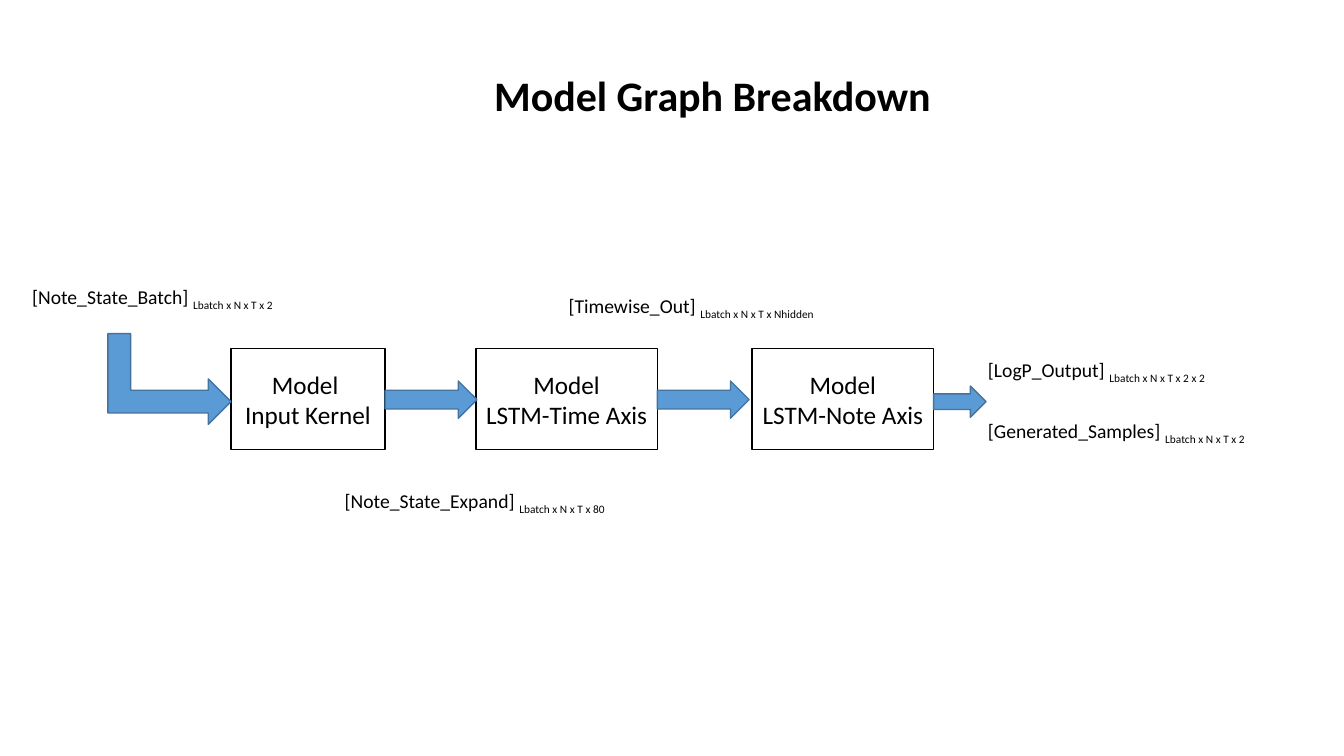
from typing import NamedTuple

from pptx import Presentation
from pptx.dml.color import RGBColor
from pptx.enum.shapes import MSO_SHAPE
from pptx.enum.text import MSO_ANCHOR, MSO_AUTO_SIZE, PP_ALIGN
from pptx.util import Emu, Pt

EMU_PER_PX = 9144  # 100 px to the inch
FONT = "Calibri"
BLACK, WHITE, BLUE, DARK_BLUE = "000000", "FFFFFF", "5B9BD5", "43739E"


class Frame(NamedTuple):
    left: int
    top: int
    width: int
    height: int


class Stage(NamedTuple):
    frame: Frame
    lines: tuple[str, str]


class Tensor(NamedTuple):
    frame: Frame
    name: str
    dimensions: str


class Arrow(NamedTuple):
    frame: Frame
    preset: MSO_SHAPE = MSO_SHAPE.RIGHT_ARROW
    rotation: int = 0


STAGES = [
    Stage(Frame(229, 346, 153, 100), ("Model ", "Input Kernel")),
    Stage(Frame(472, 346, 180, 100), ("Model", "LSTM-Time Axis")),
    Stage(Frame(746, 346, 180, 100), ("Model", "LSTM-Note Axis")),
]
TENSORS = [
    Tensor(Frame(22, 278, 310, 34), "Note_State_Batch", "Lbatch x N x T x 2"),
    Tensor(Frame(332, 480, 328, 34), "Note_State_Expand", "Lbatch x N x T x 80"),
    Tensor(Frame(554, 287, 328, 34), "Timewise_Out", "Lbatch x N x T x Nhidden"),
    Tensor(Frame(970, 350, 306, 34), "LogP_Output", "Lbatch x N x T x 2 x 2"),
    Tensor(Frame(970, 411, 314, 34), "Generated_Samples", "Lbatch x N x T x 2"),
]
ARROWS = [
    Arrow(Frame(123, 315, 90, 122), MSO_SHAPE.BENT_UP_ARROW, 90),
    Arrow(Frame(382, 378, 91, 37)),
    Arrow(Frame(652, 378, 91, 37)),
    Arrow(Frame(926, 383, 52, 31)),
]


def px(length: int) -> Emu:
    return Emu(length * EMU_PER_PX)


def place(frame: Frame) -> list[Emu]:
    return [px(length) for length in frame]


def color(hex_code: str) -> RGBColor:
    return RGBColor.from_string(hex_code)


def set_font(paragraph, size: int, bold: bool = False) -> None:
    font = paragraph.font
    font.name, font.size, font.bold = FONT, Pt(size), bold
    font.color.rgb = color(BLACK)


def add_outlined(slide, preset: MSO_SHAPE, frame: Frame, fill: str, line: str):
    shape = slide.shapes.add_shape(preset, *place(frame))
    shape.shadow.inherit = False
    shape.fill.solid()
    shape.fill.fore_color.rgb = color(fill)
    shape.line.color.rgb = color(line)
    shape.line.width = Pt(1)
    return shape


def add_title(slide, text: str, frame: Frame) -> None:
    title = slide.shapes.title
    title.left, title.top, title.width, title.height = place(frame)
    text_frame = title.text_frame
    text_frame.text = text
    text_frame.word_wrap = False
    text_frame.auto_size = MSO_AUTO_SIZE.SHAPE_TO_FIT_TEXT
    text_frame.vertical_anchor = MSO_ANCHOR.TOP
    paragraph = text_frame.paragraphs[0]
    paragraph.alignment = PP_ALIGN.LEFT
    set_font(paragraph, 30, bold=True)


def add_stage(slide, stage: Stage) -> None:
    box = add_outlined(slide, MSO_SHAPE.RECTANGLE, stage.frame, WHITE, BLACK)
    text_frame = box.text_frame
    text_frame.text = "\n".join(stage.lines)
    text_frame.word_wrap = False
    text_frame.vertical_anchor = MSO_ANCHOR.MIDDLE
    for paragraph in text_frame.paragraphs:
        paragraph.alignment = PP_ALIGN.CENTER
        set_font(paragraph, 18)


def add_tensor(slide, tensor: Tensor) -> None:
    """Write the bracketed name with its dimensions as a subscript."""
    text_frame = slide.shapes.add_textbox(*place(tensor.frame)).text_frame
    text_frame.word_wrap = True
    text_frame.auto_size = MSO_AUTO_SIZE.SHAPE_TO_FIT_TEXT
    paragraph = text_frame.paragraphs[0]
    set_font(paragraph, 14)
    paragraph.add_run().text = f"[{tensor.name}] "
    subscript = paragraph.add_run()
    subscript.text = tensor.dimensions
    subscript.font._element.set("baseline", "-25000")


def add_arrow(slide, arrow: Arrow) -> None:
    shape = add_outlined(slide, arrow.preset, arrow.frame, BLUE, DARK_BLUE)
    shape.rotation = arrow.rotation


def main() -> None:
    presentation = Presentation()
    presentation.slide_width, presentation.slide_height = px(1333), px(750)
    title_only = presentation.slide_layouts.get_by_name("Title Only")
    slide = presentation.slides.add_slide(title_only)
    add_title(slide, "Model Graph Breakdown", Frame(480, 64, 458, 61))
    for stage in STAGES:
        add_stage(slide, stage)
    for tensor in TENSORS:
        add_tensor(slide, tensor)
    for arrow in ARROWS:
        add_arrow(slide, arrow)
    presentation.save("out.pptx")


if __name__ == "__main__":
    main()
